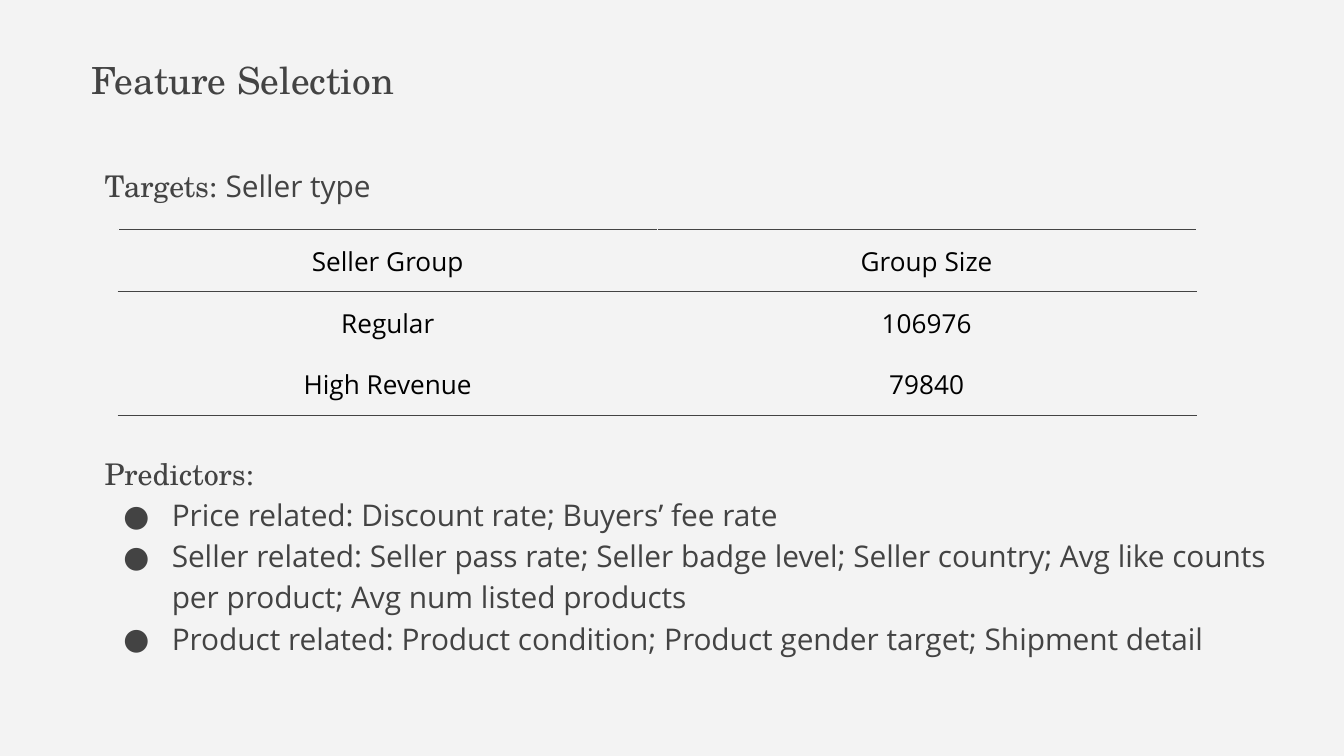
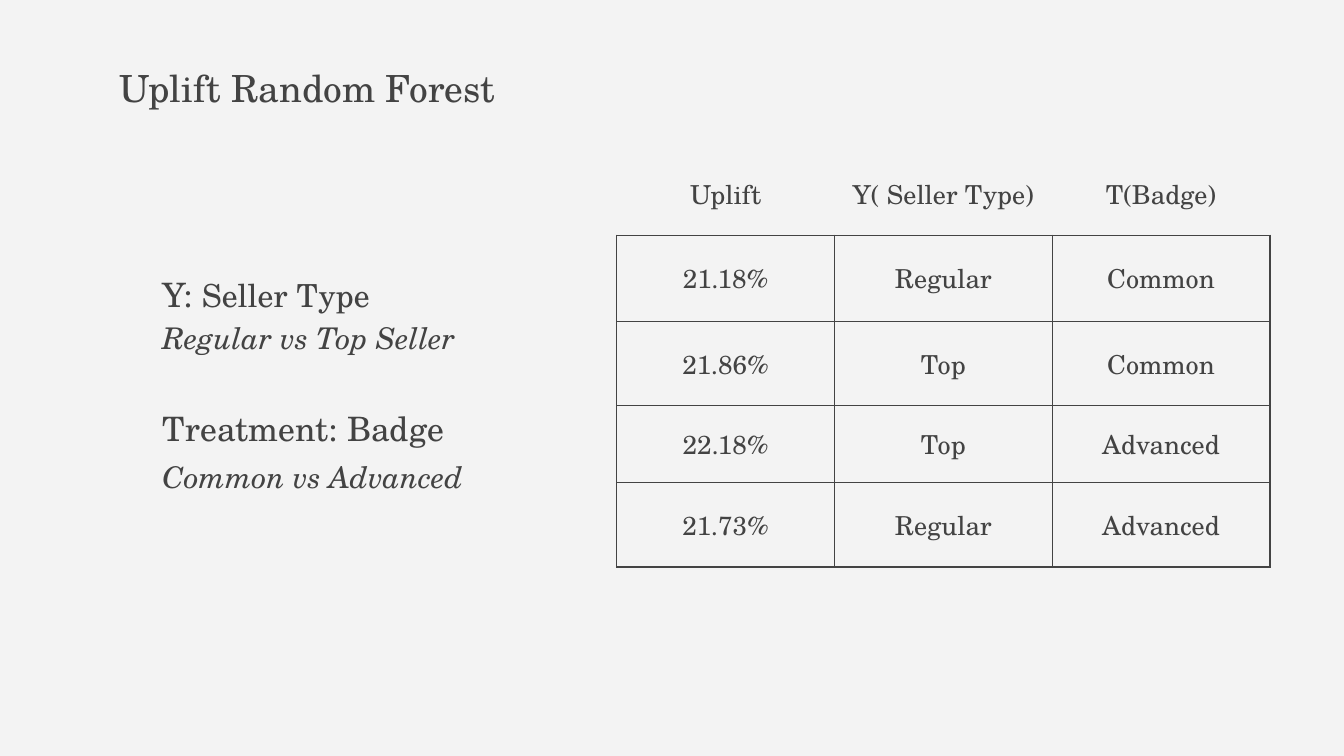
import pptx
import pptx.dml.color
import pptx.enum.text
import pptx.oxml
import pptx.oxml.ns
import pptx.util
from lxml import etree

Inches = pptx.util.Inches
Pt = pptx.util.Pt
RGBColor = pptx.dml.color.RGBColor
ANCHOR = pptx.enum.text.MSO_ANCHOR
CENTER = pptx.enum.text.PP_ALIGN.CENTER
qn = pptx.oxml.ns.qn

PAPER = RGBColor(0xF3, 0xF3, 0xF3)
INK = RGBColor(0x43, 0x43, 0x43)
BLACK = RGBColor(0, 0, 0)
SERIF = "TeX Gyre Schola"
SANS = "Open Sans"


class Deck:
    """Holds the shared style and the slide being filled."""

    def __init__(self):
        self.prs = pptx.Presentation()
        self.prs.slide_width = Inches(10)
        self.prs.slide_height = Inches(10 * 9 / 16)
        self.slide = None

    def new_slide(self, title, left, top):
        self.slide = self.prs.slides.add_slide(self.prs.slide_layouts[6])
        self.slide.background.fill.solid()
        self.slide.background.fill.fore_color.rgb = PAPER
        frame = self.text_frame(left, top, 4.14, 1.03)
        frame.margin_top = Inches(0.48)
        self.line(frame, [(title, SERIF, 20)])

    def text_frame(self, left, top, width, height):
        box = self.slide.shapes.add_textbox(
            Inches(left), Inches(top), Inches(width), Inches(height))
        frame = box.text_frame
        frame.word_wrap = True
        frame.vertical_anchor = ANCHOR.TOP
        for side in ("left", "top", "right", "bottom"):
            setattr(frame, "margin_" + side, Inches(0.1))
        return frame

    def line(self, frame, parts, spacing=None, before=0, italic=False, bullet=False):
        """Add a paragraph made of (text, font, size) parts."""
        first = frame.paragraphs[0]
        paragraph = frame.add_paragraph() if first.runs else first
        if bullet:
            self.bullet(paragraph)
        if spacing:
            paragraph.line_spacing = spacing
        if before:
            paragraph.space_before = Pt(before)
        for text, font, size in parts:
            run = paragraph.add_run()
            run.text = text
            self.style(run, font, size, INK)
            run.font.italic = italic

    @staticmethod
    def style(run, font, size, color):
        run.font.name = font
        run.font.size = Pt(size)
        run.font.color.rgb = color

    @staticmethod
    def bullet(paragraph):
        props = paragraph._p.get_or_add_pPr()
        props.set("marL", str(Inches(0.5)))
        props.set("indent", str(Inches(-0.36)))
        color = etree.SubElement(props, qn("a:buClr"))
        etree.SubElement(color, qn("a:srgbClr"), val=str(INK))
        etree.SubElement(props, qn("a:buFont"), typeface=SANS)
        etree.SubElement(props, qn("a:buChar"), char="●")

    def table(self, left, top, column_width, heights, rows, font, color, side_margin, borders):
        """borders(row, column) gives the left, right, top and bottom colours."""
        columns = len(rows[0])
        table = self.slide.shapes.add_table(
            len(rows), columns, Inches(left), Inches(top),
            Inches(column_width * columns), Inches(sum(heights))).table
        table.first_row = table.horz_banding = False
        for column in table.columns:
            column.width = Inches(column_width)
        for r, values in enumerate(rows):
            table.rows[r].height = Inches(heights[r])
            for c, value in enumerate(values):
                cell = table.cell(r, c)
                cell.fill.background()
                cell.margin_left = cell.margin_right = Inches(side_margin)
                cell.margin_top = cell.margin_bottom = Inches(0.1)
                cell.vertical_anchor = ANCHOR.MIDDLE if r else ANCHOR.TOP
                paragraph = cell.text_frame.paragraphs[0]
                paragraph.text = value
                paragraph.alignment = CENTER
                for run in paragraph.runs:
                    self.style(run, font, 14, color)
                self.cell_borders(cell, borders(r, c))

    @staticmethod
    def cell_borders(cell, colors):
        props = cell._tc.get_or_add_tcPr()
        for index, (side, color) in enumerate(zip("LRTB", colors)):
            edge = etree.Element(qn("a:ln" + side), w=str(Pt(0.75)))
            if color is None:
                etree.SubElement(edge, qn("a:noFill"))
            else:
                fill = etree.SubElement(edge, qn("a:solidFill"))
                etree.SubElement(fill, qn("a:srgbClr"), val=str(color))
            props.insert(index, edge)


def group_borders(row, column):
    """Rules above and below the header and under the last row."""
    return (PAPER, PAPER, INK if row < 2 else PAPER, PAPER if row == 1 else INK)


def uplift_borders(row, column):
    """Full grid, leaving the header row and the first column open."""
    body, labelled = row > 0, column > 0
    grid = INK if body and labelled else None
    return (grid, INK if body else None, grid, INK if labelled else None)


def feature_selection(deck):
    deck.new_slide("Feature Selection", 0.58, 0.07)

    # Targets and predictors, with room for the table between them
    features = deck.text_frame(0.68, 1.11, 8.93, 3.15)
    deck.line(features, [("Targets: ", SERIF, 16), ("Seller type", SANS, 16)], 1.15)
    deck.line(features, [("Predictors:", SERIF, 16)], 1.15, before=132)
    for predictors in (
        "Price related: Discount rate; Buyers’ fee rate",
        "Seller related: Seller pass rate; Seller badge level; Seller country; "
        "Avg like counts per product; Avg num listed products",
        "Product related: Product condition; Product gender target; Shipment detail",
    ):
        deck.line(features, [(predictors, SANS, 16)], 1.15, bullet=True)

    # Seller groups
    groups = [("Seller Group", "Group Size"), ("Regular", "106976"), ("High Revenue", "79840")]
    deck.table(0.88, 1.71, 4.01, [0.46] * 3, groups, SANS, BLACK, 0.1, group_borders)


def uplift_random_forest(deck):
    deck.new_slide("Uplift Random Forest", 0.79, 0.13)

    # Uplift by seller type and badge
    uplifts = [
        ("", "Uplift", "Y( Seller Type)", "T(Badge)"),
        ("", "21.18%", "Regular", "Common"),
        ("", "21.86%", "Top", "Common"),
        ("", "22.18%", "Top", "Advanced"),
        ("", "21.73%", "Regular", "Advanced"),
    ]
    deck.table(2.97, 1.2, 1.62, [0.55, 0.64, 0.63, 0.57, 0.63], uplifts,
               SERIF, INK, 0, uplift_borders)

    # Meaning of outcome and treatment
    variables = deck.text_frame(1.11, 1.89, 3, 1.98)
    deck.line(variables, [("Y: ", SERIF, 18), ("Seller Type", SERIF, 17)], 1.15)
    deck.line(variables, [("Regular vs Top Seller", SERIF, 16)], 1.15, italic=True)
    deck.line(variables, [("Treatment: Badge", SERIF, 18)], 1.15, before=25)
    deck.line(variables, [("Common vs Advanced", SERIF, 16)], 1.15, before=3, italic=True)


def main():
    deck = Deck()
    feature_selection(deck)
    uplift_random_forest(deck)
    deck.prs.save("out.pptx")


if __name__ == "__main__":
    main()
